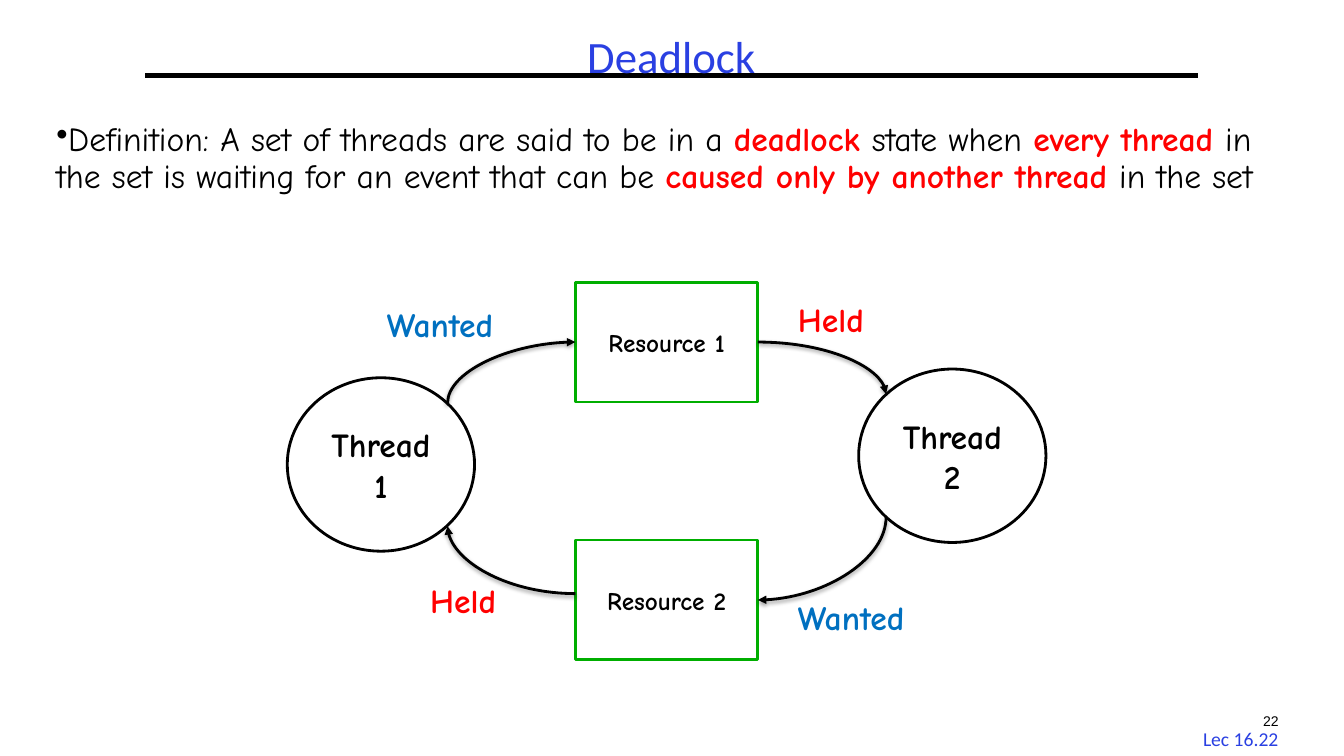
import pptx
import pptx.util
import pptx.dml.color
import pptx.enum.shapes
import pptx.enum.text
import pptx.oxml
import pptx.oxml.ns

Cm = pptx.util.Cm
Pt = pptx.util.Pt
RGBColor = pptx.dml.color.RGBColor
Align = pptx.enum.text.PP_ALIGN
Anchor = pptx.enum.text.MSO_ANCHOR
Shape = pptx.enum.shapes.MSO_SHAPE
Link = pptx.enum.shapes.MSO_CONNECTOR

BLACK = RGBColor(0x00, 0x00, 0x00)
WHITE = RGBColor(0xFF, 0xFF, 0xFF)
TITLE = RGBColor(0x2A, 0x40, 0xE2)
RED = RGBColor(0xFF, 0x00, 0x00)
BLUE = RGBColor(0x00, 0x70, 0xC0)
GREEN = RGBColor(0x00, 0xAE, 0x00)

NS = pptx.oxml.ns.nsdecls("a")
SHADOW = (
    '<a:outerShdw blurRad="40000" dist="20000" dir="5400000" rotWithShape="0">'
    '<a:srgbClr val="000000"><a:alpha val="38000"/></a:srgbClr></a:outerShdw>'
)


def write(shape, text, size=24, font="Comic Neue", color=BLACK, bold=False,
          align=Align.LEFT, anchor=Anchor.TOP, lines=None, bullet=False):
    """Fill a shape with one paragraph; in text, *stars* mark bold red words."""
    frame = shape.text_frame
    frame.word_wrap = True
    frame.vertical_anchor = anchor
    para = frame.paragraphs[0]
    if bullet:
        props = para._p.get_or_add_pPr()
        props.set("marL", "0")
        props.set("indent", str(Cm(-0.79)))
        props.append(pptx.oxml.parse_xml(f'<a:buChar {NS} char="•"/>'))
    para.alignment = align
    para.line_spacing = lines
    for i, part in enumerate(text.split("*")):
        run = para.add_run()
        run.text = part
        run.font.size = Pt(size)
        run.font.name = font
        run.font.bold = bold or i % 2 == 1
        run.font.color.rgb = RED if i % 2 else color


def label(slide, text, x, y, w, h, **form):
    box = slide.shapes.add_textbox(Cm(x), Cm(y), Cm(w), Cm(h))
    write(box, text, **form)


def node(slide, kind, text, x, y, w, h, edge, size):
    shape = slide.shapes.add_shape(kind, Cm(x), Cm(y), Cm(w), Cm(h))
    shape.shadow.inherit = False
    shape.fill.solid()
    shape.fill.fore_color.rgb = WHITE
    shape.line.color.rgb = edge
    shape.line.width = Pt(2)
    write(shape, text, size=size, bold=True, align=Align.CENTER,
          anchor=Anchor.MIDDLE)


def wire(slide, kind, start, end, width, effect=""):
    line = slide.shapes.add_connector(
        kind, Cm(start[0]), Cm(start[1]), Cm(end[0]), Cm(end[1]))
    line.line.color.rgb = BLACK
    line.line.width = Pt(width)
    line._element.spPr.append(
        pptx.oxml.parse_xml(f"<a:effectLst {NS}>{effect}</a:effectLst>"))
    return line


def arrow(slide, start, end, rising=False):
    """Draw a quarter bend; a rising one leaves its start vertically."""
    if rising:
        # Turn the ends a quarter back, since the shape is rotated by 90 degrees.
        mid_x = (start[0] + end[0]) / 2
        mid_y = (start[1] + end[1]) / 2
        start, end = [(mid_x + y - mid_y, mid_y - x + mid_x)
                      for x, y in (start, end)]
    line = wire(slide, Link.CURVE, start, end, 2, SHADOW)
    props = line._element.spPr
    props.prstGeom.set("prst", "curvedConnector2")
    if rising:
        props.xfrm.set("rot", "5400000")
    line.line._get_or_add_ln().append(
        pptx.oxml.parse_xml(f'<a:tailEnd {NS} type="triangle"/>'))


def main():
    deck = pptx.Presentation()
    deck.slide_width = Cm(33.87)
    deck.slide_height = Cm(19.05)
    slide = deck.slides.add_slide(deck.slide_layouts[6])

    label(slide, "Lec 16.22", 29.9, 18.19, 2.74, 0.84, size=14,
          font="Calibri", color=TITLE, align=Align.CENTER)
    wire(slide, Link.STRAIGHT, (3.66, 1.9), (30.2, 1.9), 3)
    label(slide, "22", 31.39, 17.83, 1.27, 1.02, size=10, font="Arial",
          align=Align.CENTER)
    label(slide, "Deadlock", 1.17, 0.76, 31.5, 1.47, size=32, font="Calibri",
          color=TITLE, align=Align.CENTER, anchor=Anchor.MIDDLE, lines=0.9)
    label(slide, "Definition: A set of threads are said to be in a *deadlock *"
          "state when *every thread *in the set is waiting for an event that "
          "can be *caused only by another thread *in the set",
          1.17, 2.97, 31.5, 14.27, lines=0.9, bullet=True)

    for num, x, y in ((1, 7.24, 9.52), (2, 21.64, 9.3)):
        node(slide, Shape.OVAL, f"Thread {num}", x, y, 4.72, 4.37, BLACK, 24)
    for num, y in ((1, 7.11), (2, 13.61)):
        node(slide, Shape.RECTANGLE, f"Resource {num}", 14.5, y, 4.6, 3.02,
             GREEN, 18)

    arrow(slide, (11.28, 10.16), (14.5, 8.62), rising=True)
    arrow(slide, (19.1, 8.62), (22.33, 9.93))
    arrow(slide, (22.33, 13.03), (19.1, 15.12), rising=True)
    arrow(slide, (14.5, 14.96), (11.28, 13.26))

    for text, color, w, spots in (
            ("Wanted", BLUE, 3.71, ((9.5, 7.54), (19.86, 14.91))),
            ("Held", RED, 2.36, ((19.86, 7.42), (10.59, 14.48)))):
        for x, y in spots:
            label(slide, text, x, y, w, 1.27, color=color, bold=True)

    deck.save("out.pptx")


if __name__ == "__main__":
    main()
